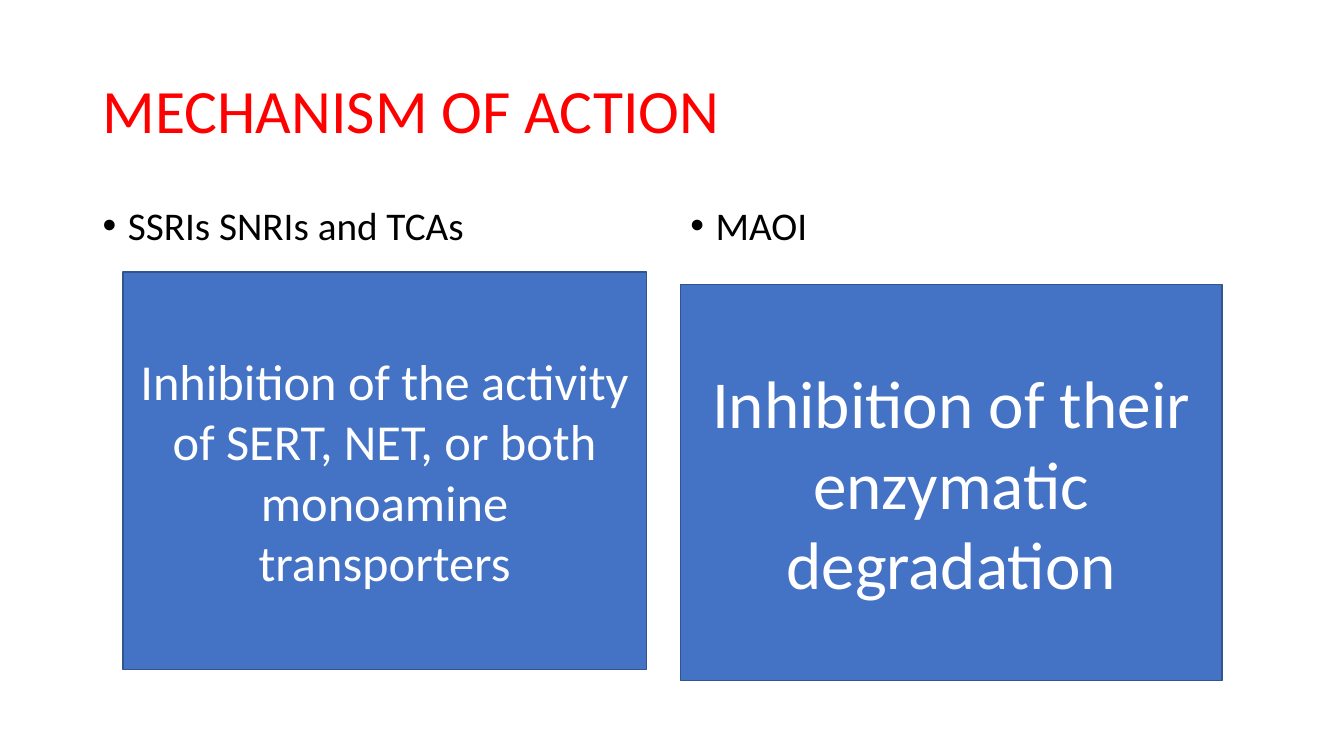
from lxml.etree import SubElement
from pptx import Presentation
from pptx.dml.color import RGBColor
from pptx.enum.shapes import MSO_SHAPE as Shape
from pptx.enum.text import MSO_ANCHOR as Anchor, PP_ALIGN as Align
from pptx.oxml.ns import qn
from pptx.util import Inches, Pt

RED = RGBColor(0xFF, 0x00, 0x00)
BLACK = RGBColor(0x00, 0x00, 0x00)
WHITE = RGBColor(0xFF, 0xFF, 0xFF)
BLUE = RGBColor(0x44, 0x72, 0xC4)
DARK_BLUE = RGBColor(0x32, 0x54, 0x91)


def write_text(shape, text, *, font, size, color, align=Align.LEFT,
               anchor=Anchor.TOP, line_spacing=1.0, bullet=None):
    frame = shape.text_frame
    frame.word_wrap = True
    frame.vertical_anchor = anchor
    paragraph = frame.paragraphs[0]
    paragraph.text = text
    paragraph.alignment = align
    paragraph.line_spacing = line_spacing
    if bullet:
        properties = paragraph._p.get_or_add_pPr()
        properties.set("marL", str(Inches(0.25)))
        properties.set("indent", str(Inches(-0.25)))
        SubElement(properties, qn("a:buFont"), typeface="Arial")
        SubElement(properties, qn("a:buChar"), char=bullet)
    paragraph.font.name = font
    paragraph.font.size = Pt(size)
    paragraph.font.color.rgb = color


class SlideBuilder:
    font = "Calibri"

    def __init__(self, slide):
        self.slide = slide

    def add_text(self, text, left, top, width, height, **style):
        box = self.slide.shapes.add_textbox(
            Inches(left), Inches(top), Inches(width), Inches(height))
        write_text(box, text, font=self.font, line_spacing=0.9, **style)

    def add_panel(self, text, left, top, width, height, size):
        panel = self.slide.shapes.add_shape(
            Shape.RECTANGLE, Inches(left), Inches(top), Inches(width), Inches(height))
        panel.shadow.inherit = False
        panel.fill.solid()
        panel.fill.fore_color.rgb = BLUE
        panel.line.color.rgb = DARK_BLUE
        panel.line.width = Pt(1)
        write_text(panel, text, font=self.font, size=size, color=WHITE,
                   align=Align.CENTER, anchor=Anchor.MIDDLE)


def main():
    presentation = Presentation()
    presentation.slide_width = Inches(13.33)
    presentation.slide_height = Inches(7.5)
    builder = SlideBuilder(presentation.slides.add_slide(presentation.slide_layouts[6]))

    builder.add_text("MECHANISM OF ACTION", 0.92, 0.4, 11.5, 1.45,
                     size=44, color=RED, anchor=Anchor.MIDDLE)
    for heading, left in (("SSRIs SNRIs and TCAs", 0.92), ("MAOI", 6.75)):
        builder.add_text(heading, left, 2, 5.67, 4.76,
                         size=28, color=BLACK, bullet="•")
    builder.add_panel(
        "Inhibition of the activity of SERT, NET, or both monoamine transporters",
        1.22, 2.7, 5.19, 3.94, size=36)
    builder.add_panel("Inhibition of their enzymatic degradation",
                      6.75, 2.82, 5.37, 3.93, size=48)

    presentation.save("out.pptx")


if __name__ == "__main__":
    main()
